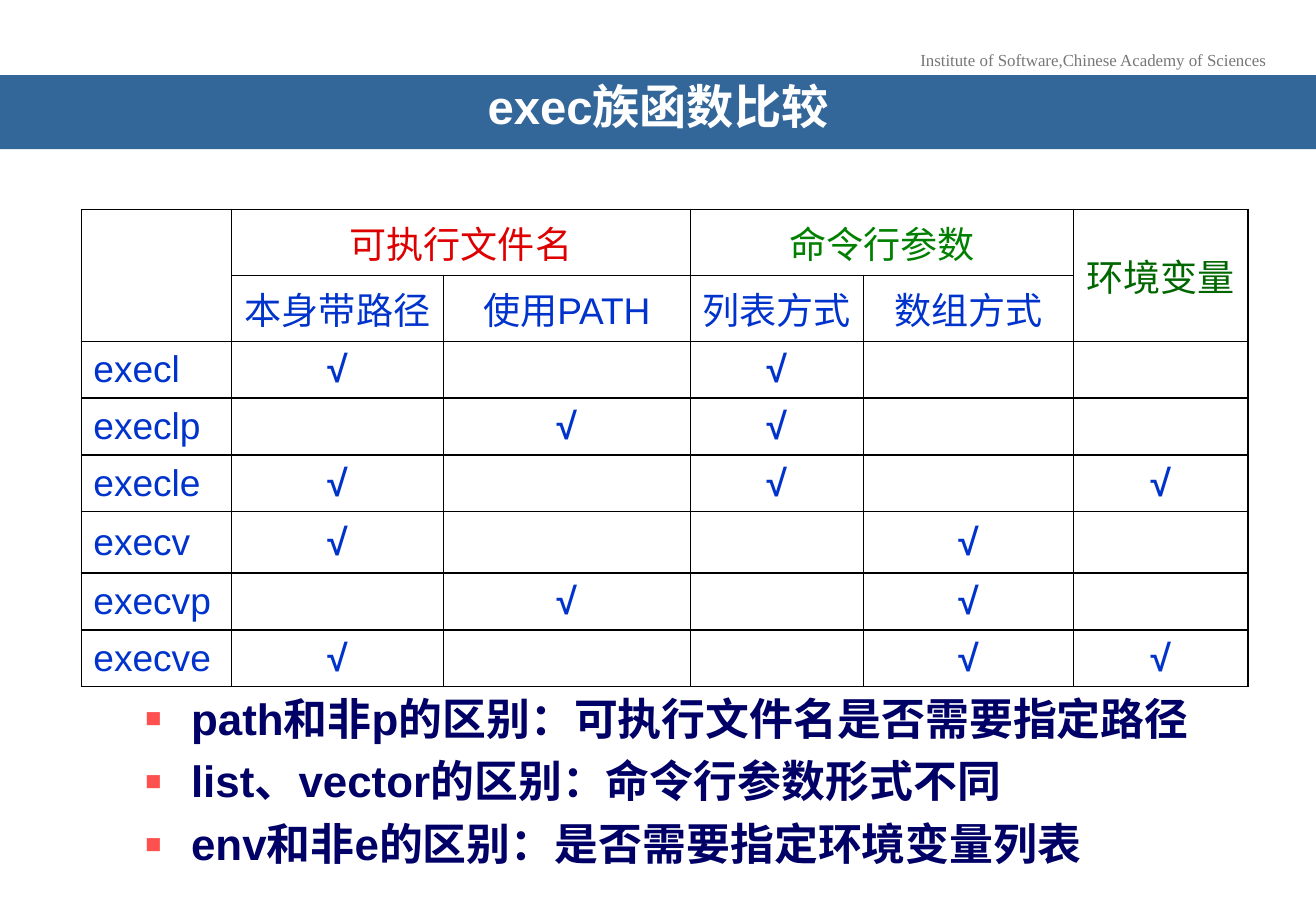
from lxml.etree import SubElement
from pptx import Presentation
from pptx.dml.color import RGBColor
from pptx.enum.text import MSO_ANCHOR as Anchor, MSO_AUTO_SIZE as AutoSize, PP_ALIGN as Align
from pptx.oxml.ns import qn
from pptx.util import Cm, Pt


def paint(color, value):
    color.rgb = RGBColor.from_string(value)


def write(para, text, size=22, color="0033CC", font="Arial", bold=False, align=Align.CENTER):
    para.alignment = align
    span = para.add_run()
    span.text = text
    span.font.name = font
    span.font.size = Pt(size)
    span.font.bold = bold
    paint(span.font.color, color)


deck = Presentation()
deck.slide_width, deck.slide_height = Cm(27.51), Cm(19.05)
page = deck.slides.add_slide(deck.slide_layouts[1])

institute = page.shapes.add_textbox(Cm(18.95), Cm(0.91), Cm(7.8), Cm(0.69)).text_frame
institute.word_wrap = False
write(institute.paragraphs[0], "Institute of Software,Chinese Academy of Sciences",
      size=10, color="777777", font="Times New Roman")

title = page.shapes.title
title.left, title.top, title.width, title.height = Cm(0), Cm(1.57), deck.slide_width, Cm(1.55)
title.fill.solid()
paint(title.fill.fore_color, "336699")
heading = title.text_frame
heading.auto_size = AutoSize.NONE
heading.vertical_anchor = Anchor.MIDDLE
heading.margin_left = heading.margin_right = Cm(0.79)
heading.paragraphs[0].line_spacing = 0.7
write(heading.paragraphs[0], "exec族函数比较", size=28, color="FFFFFF", bold=True)

column_widths = [3.14, 4.43, 5.16, 3.62, 4.39, 3.65]
row_heights = [1.38, 1.38, 1.12, 1.12, 1.12, 1.29, 1.12, 1.12]
table = page.shapes.add_table(len(row_heights), len(column_widths), Cm(1.7), Cm(4.38),
                              Cm(sum(column_widths)), Cm(sum(row_heights))).table
table.first_row = table.horz_banding = False
for column, width in zip(table.columns, column_widths):
    column.width = Cm(width)
for row, height in zip(table.rows, row_heights):
    row.height = Cm(height)

for cell in table.iter_cells():
    cell.vertical_anchor = Anchor.MIDDLE
    properties = cell._tc.get_or_add_tcPr()
    for side in ("a:lnL", "a:lnR", "a:lnT", "a:lnB"):
        border = SubElement(properties, qn(side), w=str(Pt(1)))
        SubElement(SubElement(border, qn("a:solidFill")), qn("a:srgbClr"), val="000000")
    cell.fill.background()

for first, last in [((0, 0), (1, 0)), ((0, 1), (0, 2)), ((0, 3), (0, 4)), ((0, 5), (1, 5))]:
    table.cell(*first).merge(table.cell(*last))

groups = [(1, "可执行文件名", "DE0000"), (3, "命令行参数", "008000"), (5, "环境变量", "006600")]
for column, text, color in groups:
    write(table.cell(0, column).text_frame.paragraphs[0], text, color=color)

for column, text in enumerate(["本身带路径", "使用PATH", "列表方式", "数组方式"], start=1):
    write(table.cell(1, column).text_frame.paragraphs[0], text)

checked_columns = {
    "execl": [1, 3],
    "execlp": [2, 3],
    "execle": [1, 3, 5],
    "execv": [1, 4],
    "execvp": [2, 4],
    "execve": [1, 4, 5],
}
for row, (function, columns) in enumerate(checked_columns.items(), start=2):
    write(table.cell(row, 0).text_frame.paragraphs[0], function, align=Align.LEFT)
    for column in columns:
        write(table.cell(row, column).text_frame.paragraphs[0], "√", bold=True)

body = page.placeholders[1]
body.left, body.top, body.width, body.height = Cm(2.77), Cm(14.33), Cm(23.19), Cm(3.9)
differences = body.text_frame
differences.auto_size = AutoSize.NONE
lines = [
    "path和非p的区别：可执行文件名是否需要指定路径",
    "list、vector的区别：命令行参数形式不同",
    "env和非e的区别：是否需要指定环境变量列表",
]
for index, line in enumerate(lines):
    para = differences.add_paragraph() if index else differences.paragraphs[0]
    para.space_before = Pt(6)
    write(para, line, size=26, color="000066", bold=True, align=Align.JUSTIFY)
    layout = para._p.get_or_add_pPr()
    layout.set("marL", str(Cm(0.97)))
    layout.set("indent", str(-Cm(0.97)))
    SubElement(SubElement(layout, qn("a:buClr")), qn("a:srgbClr"), val="FF5050")
    SubElement(layout, qn("a:buSzPct"), val="120000")
    SubElement(layout, qn("a:buFont"), typeface="Arial")
    SubElement(layout, qn("a:buChar"), char="▪")

deck.save("out.pptx")
